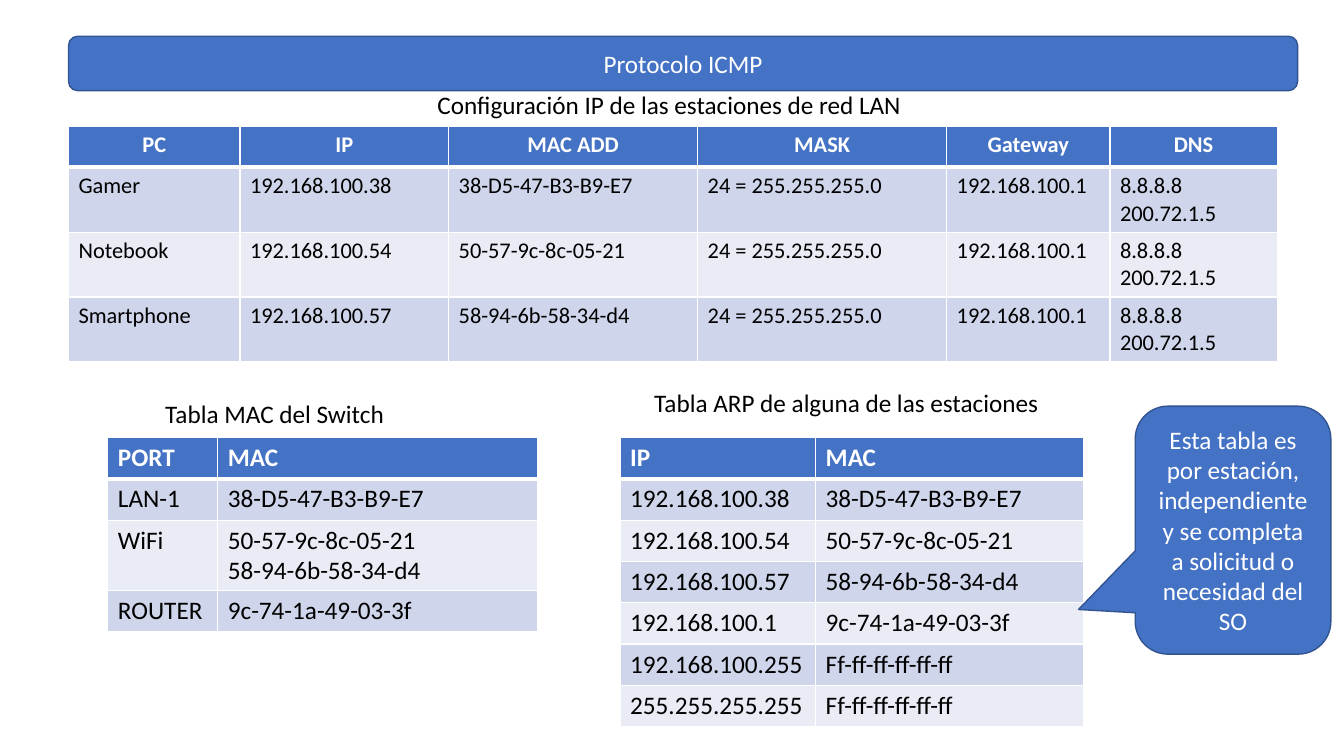
from dataclasses import dataclass

from lxml import etree
from pptx import Presentation
from pptx.dml.color import RGBColor
from pptx.enum.shapes import MSO_SHAPE
from pptx.enum.text import MSO_ANCHOR, MSO_AUTO_SIZE, PP_ALIGN
from pptx.oxml.ns import qn
from pptx.util import Inches, Pt

ROUNDED = MSO_SHAPE.ROUNDED_RECTANGLE
CALLOUT = MSO_SHAPE.ROUNDED_RECTANGULAR_CALLOUT
LEFT, CENTER = PP_ALIGN.LEFT, PP_ALIGN.CENTER
MIDDLE = MSO_ANCHOR.MIDDLE
FIT_TEXT = MSO_AUTO_SIZE.SHAPE_TO_FIT_TEXT


@dataclass(frozen=True)
class Theme:
    font: str = "Calibri"
    accent: str = "4472C4"
    outline: str = "325491"
    light: str = "FFFFFF"
    dark: str = "000000"
    bands: tuple = ("CFD5EA", "E9EBF5")
    body: int = 18
    small: int = 16
    row: float = 0.41


THEME = Theme()

MAC_GAMER = "38-D5-47-B3-B9-E7"
MAC_NOTEBOOK = "50-57-9c-8c-05-21"
MAC_PHONE = "58-94-6b-58-34-d4"
MAC_ROUTER = "9c-74-1a-49-03-3f"
MAC_BROADCAST = "Ff-ff-ff-ff-ff-ff"
GATEWAY = "192.168.100.1"
STATIONS = [
    ("Gamer", "192.168.100.38", MAC_GAMER),
    ("Notebook", "192.168.100.54", MAC_NOTEBOOK),
    ("Smartphone", "192.168.100.57", MAC_PHONE),
]
NETWORK = ("24 = 255.255.255.0", GATEWAY, "8.8.8.8\n200.72.1.5")

LAN_ROWS = [("PC", "IP", "MAC ADD", "MASK", "Gateway", "DNS")]
LAN_ROWS += [station + NETWORK for station in STATIONS]
SWITCH_ROWS = [
    ("PORT", "MAC"),
    ("LAN-1", MAC_GAMER),
    ("WiFi", f"{MAC_NOTEBOOK}\n{MAC_PHONE}"),
    ("ROUTER", MAC_ROUTER),
]
ARP_ROWS = [("IP", "MAC")]
ARP_ROWS += [(ip, mac) for _, ip, mac in STATIONS]
ARP_ROWS += [
    (GATEWAY, MAC_ROUTER),
    ("192.168.100.255", MAC_BROADCAST),
    ("255.255.255.255", MAC_BROADCAST),
]


def rgb(value):
    return RGBColor.from_string(value)


def write(tf, text, size=THEME.body, color=THEME.dark, bold=False, align=LEFT):
    for i, line in enumerate(text.split("\n")):
        p = tf.add_paragraph() if i else tf.paragraphs[0]
        p.alignment = align
        r = p.add_run()
        r.text = line
        r.font.name = THEME.font
        r.font.size = Pt(size)
        r.font.bold = bold
        r.font.color.rgb = rgb(color)


def add_box(slide, kind, box, text, adjustments):
    sp = slide.shapes.add_shape(kind, *map(Inches, box))
    for i, value in enumerate(adjustments):
        sp.adjustments[i] = value
    sp.shadow.inherit = False
    sp.fill.solid()
    sp.fill.fore_color.rgb = rgb(THEME.accent)
    sp.line.color.rgb = rgb(THEME.outline)
    sp.line.width = Pt(1)
    tf = sp.text_frame
    tf.word_wrap = True
    tf.vertical_anchor = MIDDLE
    write(tf, text, color=THEME.light, align=CENTER)


def add_caption(slide, box, text):
    tf = slide.shapes.add_textbox(*map(Inches, box)).text_frame
    tf.word_wrap = False
    tf.auto_size = FIT_TEXT
    write(tf, text)


def set_borders(cell, bottom=1):
    tc_pr = cell._tc.get_or_add_tcPr()
    for side, width in (("L", 1), ("R", 1), ("T", 1), ("B", bottom)):
        ln = etree.SubElement(tc_pr, qn(f"a:ln{side}"), w=str(Pt(width)))
        fill = etree.SubElement(ln, qn("a:solidFill"))
        etree.SubElement(fill, qn("a:srgbClr"), val=THEME.light)


def add_grid(slide, left, top, widths, rows, size=THEME.body, header_align=LEFT):
    frame = slide.shapes.add_table(
        len(rows), len(widths), Inches(left), Inches(top),
        Inches(sum(widths)), Inches(THEME.row * len(rows)))
    table = frame.table
    for column, width in zip(table.columns, widths):
        column.width = Inches(width)
    for i, values in enumerate(rows):
        header = i == 0
        table.rows[i].height = Inches(THEME.row)
        for j, text in enumerate(values):
            cell = table.cell(i, j)
            set_borders(cell, bottom=3 if header or i == 0 else 1)
            cell.fill.solid()
            fill = THEME.accent if header else THEME.bands[(i - 1) % 2]
            cell.fill.fore_color.rgb = rgb(fill)
            write(cell.text_frame, text, size=size, bold=header,
                  color=THEME.light if header else THEME.dark,
                  align=header_align if header else LEFT)


def add_lan_region(slide, left, top):
    add_box(slide, ROUNDED, (left, top, 12.19, 0.54), "Protocolo ICMP", [0.167])
    add_grid(slide, left, top + 0.89, (1.7, 2.07, 2.47, 2.47, 1.62, 1.66),
             LAN_ROWS, size=THEME.small, header_align=CENTER)
    add_caption(slide, (left + 3.56, top + 0.48, 4.86, 0.4),
                "Configuración IP de las estaciones de red LAN")


def add_switch_region(slide, left, top):
    add_grid(slide, left, top, (1.09, 3.17), SWITCH_ROWS)
    add_caption(slide, (left + 0.47, top - 0.44, 2.4, 0.4), "Tabla MAC del Switch")


def add_arp_region(slide, left, top):
    add_grid(slide, left, top, (1.94, 2.66), ARP_ROWS)
    add_caption(slide, (left + 0.24, top - 0.55, 4.06, 0.4),
                "Tabla ARP de alguna de las estaciones")
    add_box(slide, CALLOUT, (left + 5.11, top - 0.31, 1.94, 2.46),
            "Esta tabla es por estación, independiente y se completa "
            "a solicitud o necesidad del SO", [-0.79, 0.32, 0.167])


def main():
    prs = Presentation()
    prs.slide_width, prs.slide_height = Inches(13.33), Inches(7.5)
    slide = prs.slides.add_slide(prs.slide_layouts[6])
    add_lan_region(slide, 0.68, 0.36)
    add_switch_region(slide, 1.07, 4.34)
    add_arp_region(slide, 6.15, 4.34)
    prs.save("out.pptx")


if __name__ == "__main__":
    main()
